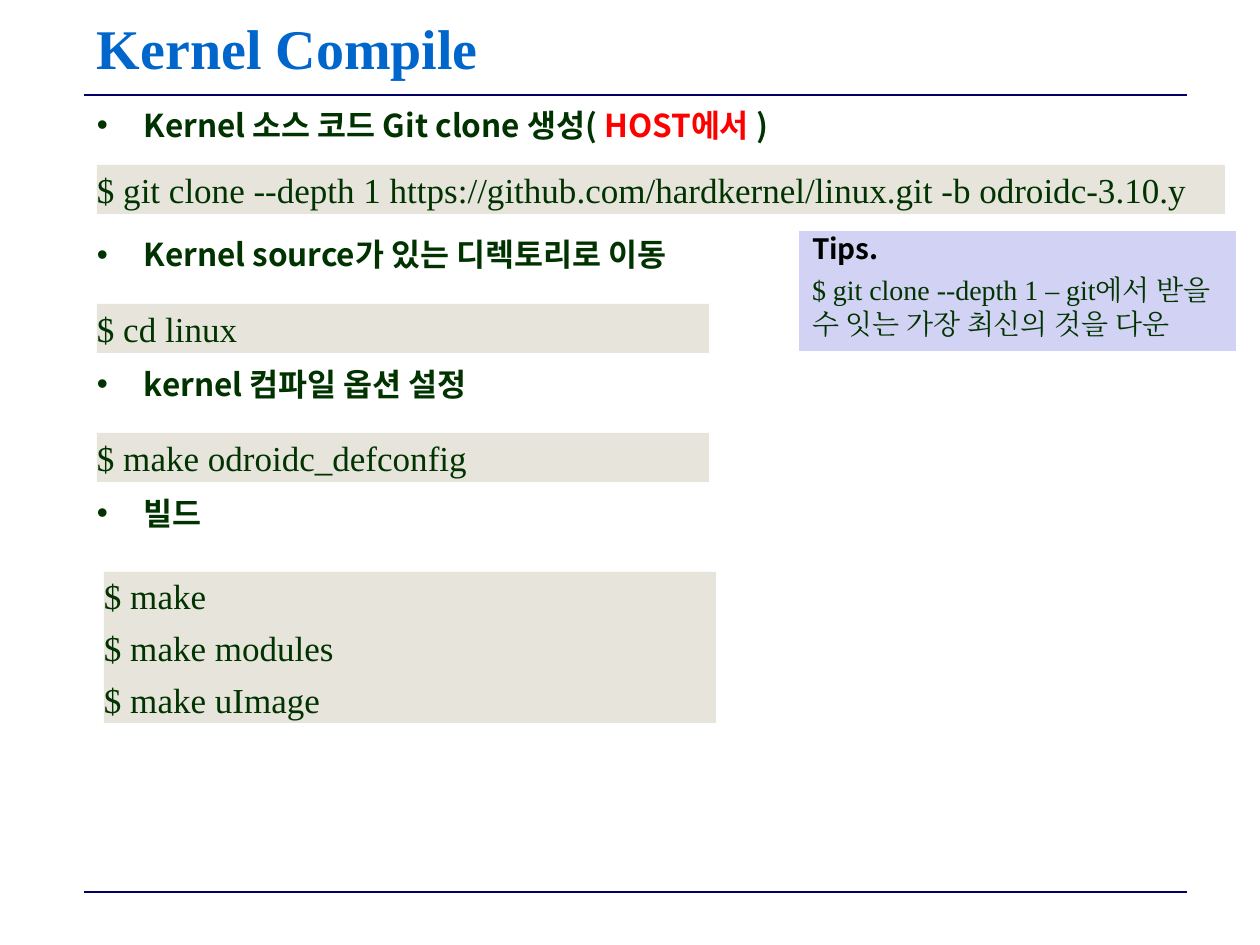
from lxml.etree import SubElement
from pptx import Presentation
from pptx.dml.color import RGBColor
from pptx.enum.shapes import MSO_CONNECTOR, MSO_SHAPE
from pptx.enum.text import MSO_ANCHOR, MSO_AUTO_SIZE, PP_ALIGN
from pptx.oxml.ns import qn
from pptx.util import Pt

PX = 914400 // 126
SERIF, SANS = "Times New Roman", "Noto Sans CJK KR"
BLUE = RGBColor(0x00, 0x66, 0xCC)
NAVY = RGBColor(0x00, 0x00, 0x66)
GREEN = RGBColor(0x00, 0x33, 0x00)
RED = RGBColor(0xFF, 0x00, 0x00)
BLACK = RGBColor(0x00, 0x00, 0x00)
BEIGE = RGBColor(0xE7, 0xE4, 0xDB)
LILAC = RGBColor(0xD2, 0xD2, 0xF4)

# Content
TITLE = "Kernel Compile"
STEPS = [
    [("Kernel 소스 코드 Git clone 생성( ", GREEN), ("HOST에서 ", RED), (")", GREEN)],
    [("Kernel source가 있는 디렉토리로 이동", GREEN)],
    [("kernel 컴파일 옵션 설정", GREEN)],
    [("빌드", GREEN)],
]
CODE = [  # left, top, width, height, commands
    (97, 165, 1128, 49, ["$ git clone --depth 1 https://github.com/hardkernel/linux.git -b odroidc-3.10.y"]),
    (97, 304, 612, 49, ["$ cd linux"]),
    (97, 433, 612, 49, ["$ make odroidc_defconfig"]),
    (104, 572, 612, 151, ["$ make", "$ make modules", "$ make uImage"]),
]
TIP = ("Tips.", "$ git clone --depth 1 – git에서 받을 수 잇는 가장 최신의 것을 다운")
RULES = (95, 892)


def write(par, text, size=20, face=SERIF, color=GREEN, bold=False):
    run = par.add_run()
    run.text = text
    font = run.font
    font.size, font.name, font.bold = Pt(size), face, bold
    font.color.rgb = color
    SubElement(run._r.get_or_add_rPr(), qn("a:ea"), typeface=face)


def place(shape, left, top, width, height):
    shape.left, shape.top = left * PX, top * PX
    shape.width, shape.height = width * PX, height * PX


def frame(shape, anchor, side=13, top=6, base=6):
    box = shape.text_frame
    box.word_wrap, box.auto_size = True, MSO_AUTO_SIZE.NONE
    box.vertical_anchor = anchor
    box.margin_left = box.margin_right = side * PX
    box.margin_top, box.margin_bottom = top * PX, base * PX
    return box


def lines(box, count, gap):
    for num in range(count):
        par = box.add_paragraph() if num else box.paragraphs[0]
        par.alignment = PP_ALIGN.LEFT
        par.space_before = Pt(gap if num else 0)
        yield par


def panel(slide, spot, fill):
    shape = slide.shapes.add_shape(MSO_SHAPE.RECTANGLE, *(n * PX for n in spot))
    shape.shadow.inherit = False
    shape.fill.solid()
    shape.fill.fore_color.rgb = fill
    shape.line.fill.background()
    return shape


deck = Presentation()
deck.slide_width, deck.slide_height = 1260 * PX, 945 * PX
slide = deck.slides.add_slide(deck.slide_layouts[1])

# Rules above and below the content
for y in RULES:
    rule = slide.shapes.add_connector(
        MSO_CONNECTOR.STRAIGHT, 84 * PX, y * PX, 1187 * PX, y * PX)
    rule.line.color.rgb, rule.line.width = NAVY, Pt(1)
    SubElement(rule._element.spPr, qn("a:effectLst"))

# Title
title = slide.shapes.title
place(title, 84, 10, 1103, 74)
for par in lines(frame(title, MSO_ANCHOR.MIDDLE), 1, 0):
    write(par, TITLE, size=32, color=BLUE, bold=True)

# Step headings, spaced to leave room for the code boxes
body = slide.placeholders[1]
place(body, 84, 100, 1103, 771)
box = frame(body, MSO_ANCHOR.TOP)
for par, step in zip(lines(box, len(STEPS), 52.3), STEPS):
    props = par._p.get_or_add_pPr()
    props.set("marL", str(47 * PX))
    props.set("indent", str(-47 * PX))
    SubElement(props, qn("a:buChar"), char="•")
    for text, color in step:
        write(par, text, size=18, face=SANS, color=color, bold=True)

# Code boxes
for *spot, rows in CODE:
    box = frame(panel(slide, spot, BEIGE), MSO_ANCHOR.MIDDLE, side=0, top=0, base=0)
    for par, row in zip(lines(box, len(rows), 5.75), rows):
        write(par, row)

# Tip box
box = frame(panel(slide, (799, 231, 437, 120), LILAC), MSO_ANCHOR.TOP, top=1)
head, note = lines(box, 2, 4)
write(head, TIP[0], size=16, face=SANS, color=BLACK, bold=True)
write(note, TIP[1], size=16)

deck.save("out.pptx")
